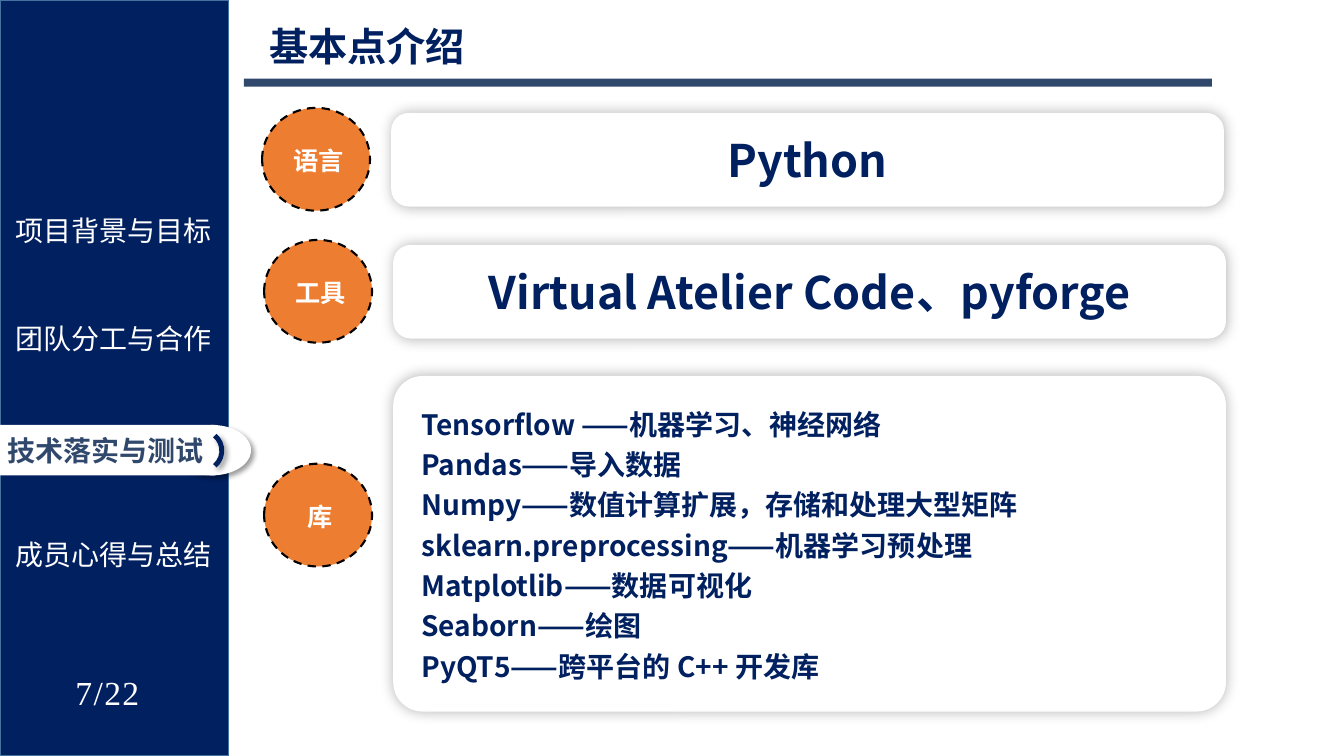
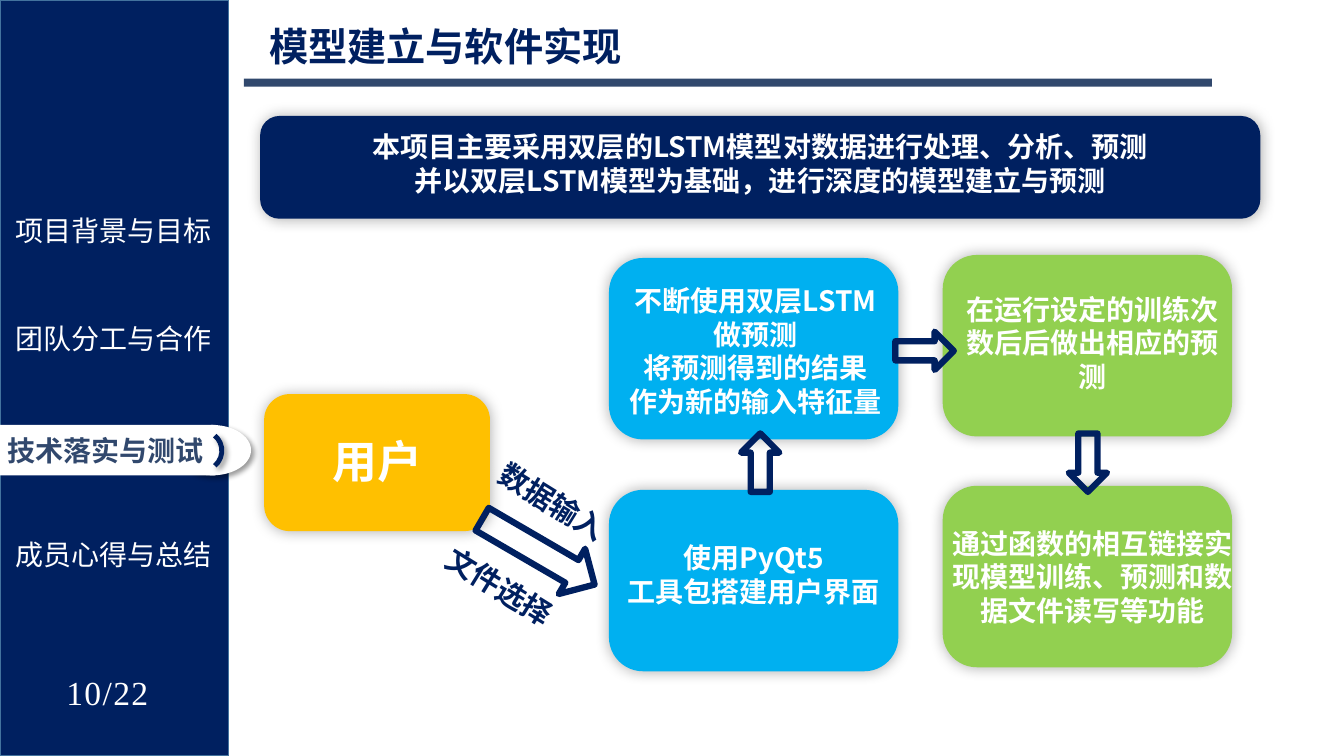
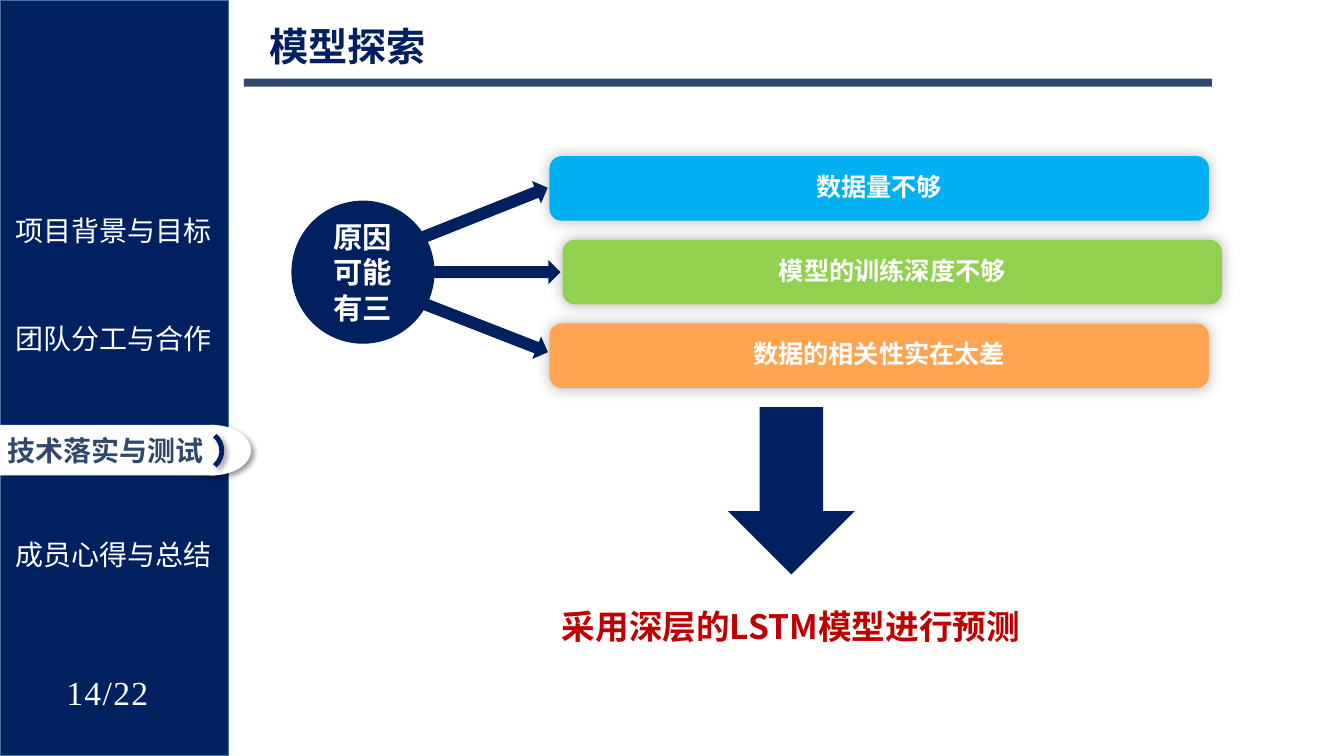
from lxml import etree
from pptx import Presentation, util as u
from pptx.dml.color import RGBColor
from pptx.enum import dml, shapes, text
from pptx.oxml.ns import qn

WIDTH, HEIGHT = 13.33, 7.5
FONT, NUMBER_FONT = "Noto Sans CJK SC", "Times New Roman"
COLORS = {
    "navy": "002060", "slate": "31486D", "edge": "43739E", "white": "FFFFFF",
    "black": "000000", "orange": "ED7D31", "amber": "FFC000", "sky": "00B0F0",
    "green": "92D050", "peach": "FFA451", "red": "C00000",
}
FORM = shapes.MSO_SHAPE
LEFT, CENTER = text.PP_ALIGN.LEFT, text.PP_ALIGN.CENTER
TOP, MIDDLE = text.MSO_ANCHOR.TOP, text.MSO_ANCHOR.MIDDLE
GLOW = dict(alpha=30, blur=10, distance=0, angle=0)
DROP = dict(alpha=40, blur=4, distance=3, angle=45)

SECTIONS = ["项目背景与目标", "团队分工与合作", "技术落实与测试", "成员心得与总结"]
ACTIVE_SECTION = 2
SECTION_TOP, SECTION_STEP = 2.06, 1.073
SIDEBAR_WIDTH = 2.27
PAGE_TOTAL = 22

# term, left of badge, middle of badge, (top, height) of card, card lines
BASICS = [
    ("语言", 2.6, 1.58, (1.12, 0.93), ["Python"]),
    ("工具", 2.62, 2.89, (2.43, 0.93), ["Virtual Atelier Code、pyforge"]),
    ("库", 2.62, 5.11, (3.73, 3.33), [
        "Tensorflow ——机器学习、神经网络",
        "Pandas——导入数据",
        "Numpy——数值计算扩展，存储和处理大型矩阵",
        "sklearn.preprocessing——机器学习预处理",
        "Matplotlib——数据可视化",
        "Seaborn——绘图",
        "PyQT5——跨平台的 C++ 开发库",
    ]),
]

SUMMARY = [
    "本项目主要采用双层的LSTM模型对数据进行处理、分析、预测",
    "并以双层LSTM模型为基础，进行深度的模型建立与预测",
]
STEP_SIZE = (2.87, 1.8)
# left, top, colour, label shift (x, y), extra label width, lines
STEPS = [
    (6.04, 2.56, "sky", (0.02, 0.02), -0.1,
     ["不断使用双层LSTM做预测", "将预测得到的结果", "作为新的输入特征量"]),
    (9.35, 2.53, "green", (0.05, -0.03), -0.1,
     ["在运行设定的训练次数后后做出相应的预测"]),
    (6.04, 4.86, "sky", (0, -0.06), 0, ["使用PyQt5", "工具包搭建用户界面"]),
    (9.35, 4.82, "green", (0.05, 0), 0.2,
     ["通过函数的相互链接实现模型训练、预测和数据文件读写等功能"]),
]
# left, top, width, height, rotation
FLOW_ARROWS = [
    (8.98, 3.19, 0.38, 0.58, 270),
    (7.35, 4.3, 0.38, 0.58, 180),
    (10.6, 4.3, 0.38, 0.58, 0),
    (5.08, 4.83, 0.52, 1.29, 300.2),
]
INPUTS = [("数据输入", 4.8, 4.76), ("文件选择", 4.27, 5.6)]

# reason, colour, bar left, arrow left, arrow top, arrow rotation
REASONS = [
    ("数据量不够", "sky", 5.45, 4.14, 1.99, 338.3),
    ("模型的训练深度不够", "green", 5.58, 4.22, 2.58, 0),
    ("数据的相关性实在太差", "peach", 5.45, 4.14, 3.13, 21.3),
]
REASON_TOP, REASON_STEP = 1.55, 0.83


def rgb(name):
    return RGBColor.from_string(COLORS[name])


def inches(box):
    return [u.Inches(length) for length in box]


def apply(target, values):
    for key, value in values.items():
        setattr(target, key, value)


def write(frame, lines, size, color="white", bold=True, align=CENTER, anchor=MIDDLE,
          insets=(0.1, 0.05, 0.1, 0.05), spacing=None, font=FONT, tracking=None):
    left, top, right, bottom = inches(insets)
    apply(frame, dict(word_wrap=True, auto_size=text.MSO_AUTO_SIZE.NONE,
                      vertical_anchor=anchor, margin_left=left, margin_top=top,
                      margin_right=right, margin_bottom=bottom))
    for index, line in enumerate(lines):
        paragraph = frame.add_paragraph() if index else frame.paragraphs[0]
        apply(paragraph, dict(alignment=align, line_spacing=spacing))
        run = paragraph.add_run()
        run.text = line
        apply(run.font, dict(size=u.Pt(size), bold=bold, name=font))
        run.font.color.rgb = rgb(color)
        properties = run.font._element
        etree.SubElement(properties, qn("a:ea"), typeface=font)
        if tracking:
            properties.set("spc", str(tracking * 100))


def label(slide, box, lines, size, rotation=0, **style):
    caption = slide.shapes.add_textbox(*inches(box))
    caption.rotation = rotation
    write(caption.text_frame, lines, size, **style)
    return caption


def draw(slide, form, box, fill=None, line=None, weight=1, rotation=0,
         adjust=(), shadow=None):
    shape = slide.shapes.add_shape(form, *inches(box))
    shape.rotation = rotation
    shape.shadow.inherit = False
    for index, value in enumerate(adjust):
        shape.adjustments[index] = value
    if fill:
        shape.fill.solid()
        shape.fill.fore_color.rgb = rgb(fill)
    else:
        shape.fill.background()
    if line:
        shape.line.color.rgb = rgb(line)
        shape.line.width = u.Pt(weight)
    else:
        shape.line.fill.background()
    if shadow:
        cast_shadow(shape, **shadow)
    return shape


def cast_shadow(shape, alpha, blur, distance, angle):
    effects = shape._element.spPr.find(qn("a:effectLst"))
    outer = etree.SubElement(effects, qn("a:outerShdw"), blurRad=str(u.Pt(blur)),
                             dist=str(u.Pt(distance)), dir=str(angle * 60000),
                             algn="ctr", rotWithShape="0")
    color = etree.SubElement(outer, qn("a:srgbClr"), val=COLORS["black"])
    etree.SubElement(color, qn("a:alpha"), val=str(alpha * 1000))


def card(slide, box, fill, lines, size, shift=(0, 0), widen=0, corner=0.188, **style):
    """Glowing rounded panel with a caption centred on it, moved by shift."""
    left, top, width, height = box
    draw(slide, FORM.ROUNDED_RECTANGLE, box, fill, adjust=[corner], shadow=GLOW)
    label(slide, (left - widen / 2 + shift[0], top + shift[1], width + widen, height),
          lines, size, **style)


def build_layout(layout, slide):
    """Draw the sidebar and title rule, then move them into the shared layout."""
    for placeholder in list(layout.placeholders):
        if placeholder.placeholder_format.idx:
            placeholder._element.getparent().remove(placeholder._element)
    parts = [draw(slide, FORM.RECTANGLE, (0, 0, SIDEBAR_WIDTH, HEIGHT), "navy", "edge")]
    for index, section in enumerate(SECTIONS):
        top = SECTION_TOP + index * SECTION_STEP
        if index == ACTIVE_SECTION:
            parts += [
                draw(slide, FORM.OVAL, (1.72, top + 0.01, 0.77, 0.5), "white", shadow=DROP),
                draw(slide, FORM.RECTANGLE, (0, top + 0.01, 2.14, 0.5), "white"),
                draw(slide, FORM.ARC, (1.81, top + 0.07, 0.39, 0.39), line="navy",
                     weight=3.5, rotation=35.7, adjust=[164.552, 8.587], shadow=DROP),
                label(slide, (0, top + 0.04, SIDEBAR_WIDTH, 0.44), [section], 20,
                      color="slate", align=LEFT, insets=(0.07, 0.05, 0.1, 0.05)),
            ]
        else:
            parts.append(label(slide, (0, top, 2.25, 0.44), [section], 20, bold=False))
    parts.append(draw(slide, FORM.RECTANGLE, (2.42, 0.78, 9.6, 0.08), "slate"))
    for part in parts:
        layout.shapes._spTree.append(part._element)


def add_heading(slide, title, page):
    heading = slide.shapes.title
    box = inches((2.57, 0.17, 6.93, 0.57))
    apply(heading, dict(zip(("left", "top", "width", "height"), box)))
    write(heading.text_frame, [title], 28, color="navy", align=LEFT, anchor=TOP)
    label(slide, (0.56, 6.67, 1.01, 0.67), [f"{page}/{PAGE_TOTAL}"], 24, bold=False,
          anchor=TOP, insets=(0, 0, 0, 0), font=NUMBER_FONT, tracking=1)


def build_basics(slide):
    for term, left, middle, (top, height), lines in BASICS:
        badge = draw(slide, FORM.OVAL, (left, middle - 0.51, 1.07, 1.02),
                     "orange", "black", 1.5)
        badge.line.dash_style = dml.MSO_LINE.DASH
        write(badge.text_frame, [term], 18, insets=(0.05, 0.02, 0, 0))
        panel = (left + 1.28, top, 8.26, height)
        if len(lines) > 1:
            card(slide, panel, "white", lines, 20, shift=(0, -0.02), corner=0.088,
                 color="navy", align=LEFT, spacing=1.2, insets=(0.28, 0.05, 0.28, 0.05))
        else:
            card(slide, panel, "white", lines, 32, color="navy")


def build_flow(slide):
    card(slide, (2.58, 1.15, 9.92, 1.02), "navy", SUMMARY, 20, shift=(0, -0.04))
    card(slide, (2.62, 3.91, 2.24, 1.36), "amber", ["用户"], 32, shift=(0, -0.02))
    for left, top, color, shift, widen, lines in STEPS:
        card(slide, (left, top, *STEP_SIZE), color, lines, 20, shift, widen)
    for *box, rotation in FLOW_ARROWS:
        draw(slide, FORM.DOWN_ARROW, box, line="navy", weight=4.5, rotation=rotation)
    for caption, left, top in INPUTS:
        label(slide, (left, top, 1.4, 0.45), [caption], 21, rotation=31.7,
              color="navy", align=LEFT)


def build_reasons(slide):
    hub = draw(slide, FORM.OVAL, (2.89, 1.99, 1.42, 1.42), "navy")
    write(hub.text_frame, ["原因", "可能有三"], 21)
    for index, (reason, color, left, arrow_left, arrow_top, turn) in enumerate(REASONS):
        draw(slide, FORM.RIGHT_ARROW, (arrow_left, arrow_top, 1.34, 0.24), "navy",
             rotation=turn)
        bar = (left, REASON_TOP + index * REASON_STEP, 6.54, 0.64)
        card(slide, bar, color, [reason], 18, shift=(0, -0.02))
    draw(slide, FORM.DOWN_ARROW, (7.22, 4.04, 1.26, 1.66), "navy")
    label(slide, (4.38, 5.96, 6.93, 0.5), ["采用深层的LSTM模型进行预测"], 24, color="red")


PAGES = [
    ("基本点介绍", 7, build_basics),
    ("模型建立与软件实现", 10, build_flow),
    ("模型探索", 14, build_reasons),
]


def main():
    deck = Presentation()
    deck.slide_width, deck.slide_height = inches((WIDTH, HEIGHT))
    layout = deck.slide_layouts[5]
    for index, (title, page, build) in enumerate(PAGES):
        slide = deck.slides.add_slide(layout)
        if index == 0:
            build_layout(layout, slide)
        add_heading(slide, title, page)
        build(slide)
    deck.save("out.pptx")


if __name__ == "__main__":
    main()
